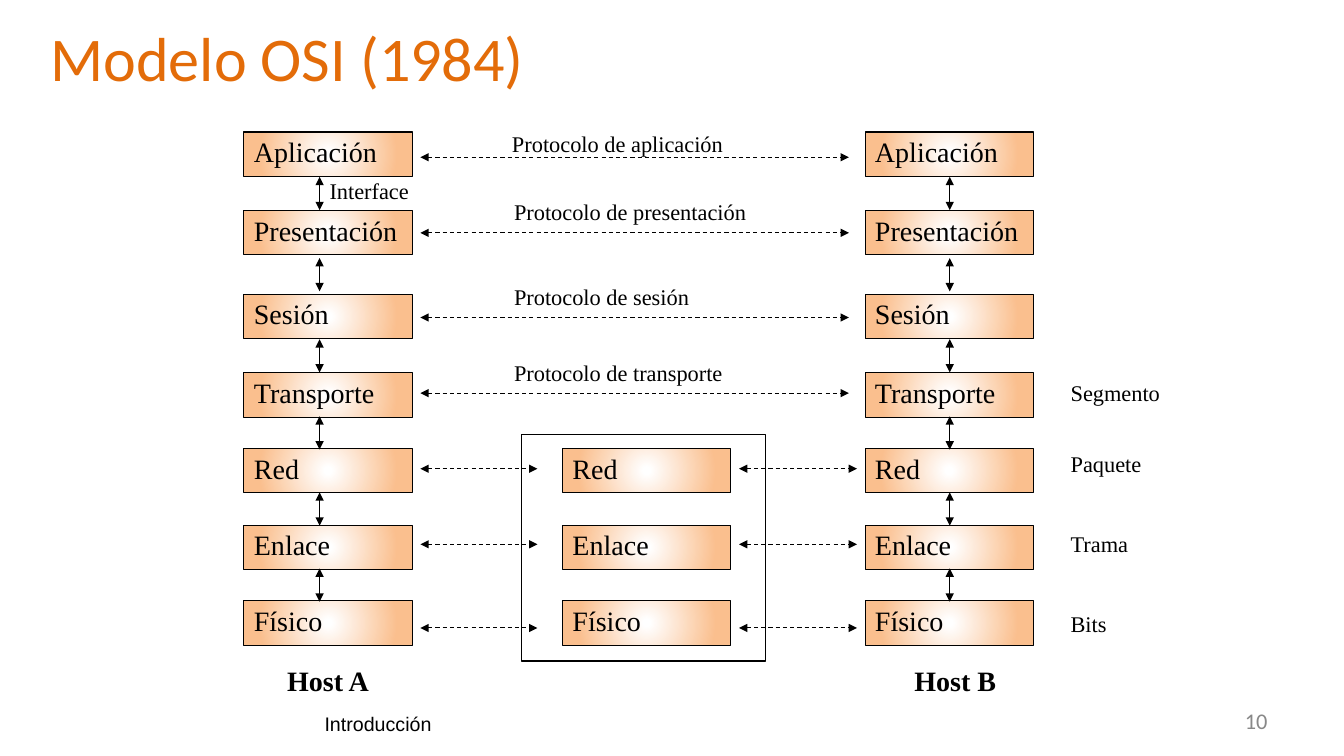
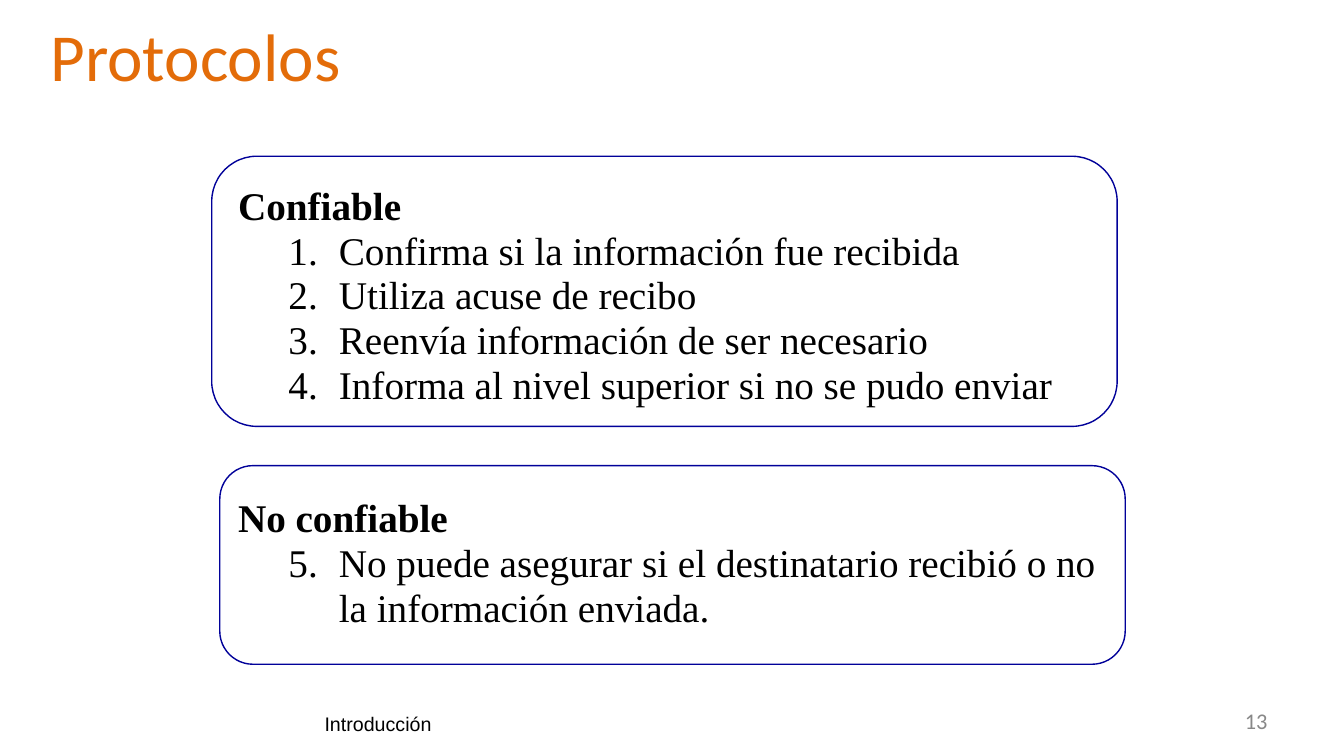
from dataclasses import dataclass

import lxml.etree
import pptx
import pptx.dml.color
import pptx.enum.dml
import pptx.enum.shapes
import pptx.enum.text
import pptx.oxml.ns
import pptx.util

Inches, Pt = pptx.util.Inches, pptx.util.Pt
qn = pptx.oxml.ns.qn
ALIGN = pptx.enum.text.PP_ALIGN
ANCHOR = pptx.enum.text.MSO_ANCHOR
SHAPE = pptx.enum.shapes.MSO_SHAPE


@dataclass(frozen=True)
class Theme:
    title: str = "E36C09"
    ink: str = "000000"
    page: str = "888888"
    glow: str = "FFFFFF"
    layer: str = "FABF8E"
    card: str = "010199"
    title_font: str = "Calibri"
    body_font: str = "Times New Roman"
    footer_font: str = "Arial"
    footer_size: float = 14
    label_size: float = 16
    layer_size: float = 20
    card_size: float = 28
    thin: float = 0.75
    outline: float = 1
    title_spacing: float = 0.9
    body_spacing: float = 0.95


THEME = Theme()

# Content
FOOTER = "Introducción"
OSI = {"title": "Modelo OSI (1984)", "size": 44.4, "box": (0.4, 0.22, 8.47, 0.77), "page": "10"}
PROTOCOLS = {"title": "Protocolos", "size": 48, "box": (0.4, 0.17, 8.52, 0.84), "page": "13"}

# Layer name, box top, height of its dashed arrow
LAYERS = [
    ("Aplicación", 1.31, 1.56),
    ("Presentación", 2.09, 2.31),
    ("Sesión", 2.92, 3.15),
    ("Transporte", 3.7, 3.9),
    ("Red", 4.45, 4.65),
    ("Enlace", 5.21, 5.4),
    ("Físico", 5.96, 6.23),
]
FIRST_ROUTED = 4  # layers from here on pass through the router
LAYER_WIDTH, LAYER_HEIGHT = 1.67, 0.44
ROUTER_LEFT, ROUTER_FRAME = 5.58, (5.17, 4.31, 2.42, 2.25)
# Host name, layers left, arrow column, name left
HOSTS = [("Host A", 2.42, 3.17, 2.75), ("Host B", 8.58, 9.42, 8.97)]
HOST_NAME_TOP = 6.56
INTERFACE_LENGTH = 0.33
DIRECT_SPAN = (4.17, 8.42)
ROUTED_SPANS = [(4.17, 5.33), (7.33, 8.5)]

# Text, left, top, width
LABELS = [
    ("Interface", 3.17, 1.73, 1.2),
    ("Protocolo de aplicación", 4.98, 1.26, 2.6),
    ("Protocolo de presentación", 5, 1.94, 2.6),
    ("Protocolo de sesión", 5, 2.78, 2.6),
    ("Protocolo de transporte", 5, 3.53, 2.6),
    ("Segmento", 10.52, 3.73, 1.3),
    ("Paquete", 10.52, 4.44, 1.3),
    ("Trama", 10.52, 5.23, 1.3),
    ("Bits", 10.52, 6.02, 1.3),
]

# Heading, first number, items, card box, text top
CARDS = [
    ("Confiable", 1, [
        "Confirma si la información fue recibida",
        "Utiliza acuse de recibo",
        "Reenvía información de ser necesario",
        "Informa al nivel superior si no se pudo enviar",
    ], (2.1, 1.55, 8.98, 2.68), 1.83),
    ("No confiable", 5, [
        "No puede asegurar si el destinatario recibió o no la información enviada.",
    ], (2.18, 4.62, 8.98, 1.97), 4.93),
]
CARD_TEXT_LEFT = 2.36
CARD_ROUNDING = 0.167
CORNER_INSET = 0.29  # share of the corner radius kept free of text


# Shared helpers
def color(value):
    return pptx.dml.color.RGBColor.from_string(value)


def style(paragraph, size, font=THEME.body_font, ink=THEME.ink, bold=False, spacing=THEME.body_spacing):
    paragraph.font.size = Pt(size)
    paragraph.font.name = font
    paragraph.font.color.rgb = color(ink)
    paragraph.font.bold = bold
    paragraph.line_spacing = spacing


def add_text(slide, text, box, size, anchor=ANCHOR.TOP, align=ALIGN.LEFT, **options):
    frame = slide.shapes.add_textbox(*map(Inches, box)).text_frame
    frame.word_wrap = True
    frame.vertical_anchor = anchor
    frame.text = text
    frame.paragraphs[0].alignment = align
    style(frame.paragraphs[0], size, **options)


def add_outline(slide, kind, box, ink, width):
    shape = slide.shapes.add_shape(kind, *map(Inches, box))
    shape.shadow.inherit = False
    shape.fill.background()
    shape.line.color.rgb = color(ink)
    shape.line.width = Pt(width)
    return shape


def add_arrow(slide, x1, y1, x2, y2, dashed=False):
    arrow = slide.shapes.add_connector(
        pptx.enum.shapes.MSO_CONNECTOR.STRAIGHT, *map(Inches, (x1, y1, x2, y2)))
    arrow.line.color.rgb = color(THEME.ink)
    arrow.line.width = Pt(THEME.thin)
    if dashed:
        arrow.line.dash_style = pptx.enum.dml.MSO_LINE.DASH
    line = arrow.line._get_or_add_ln()
    for end in ("a:headEnd", "a:tailEnd"):
        lxml.etree.SubElement(line, qn(end), type="triangle")
    lxml.etree.SubElement(arrow._element.spPr, qn("a:effectLst"))


def start_slide(presentation, content):
    slide = presentation.slides.add_slide(presentation.slide_layouts[5])
    title = slide.shapes.title
    title.left, title.top, title.width, title.height = map(Inches, content["box"])
    frame = title.text_frame
    frame.text = content["title"]
    frame.auto_size = pptx.enum.text.MSO_AUTO_SIZE.NONE
    frame.vertical_anchor = ANCHOR.MIDDLE
    frame.paragraphs[0].alignment = ALIGN.LEFT
    style(frame.paragraphs[0], content["size"], THEME.title_font, THEME.title,
          spacing=THEME.title_spacing)
    add_text(slide, FOOTER, (3.12, 6.83, 6.69, 0.52), THEME.footer_size, ANCHOR.BOTTOM,
             font=THEME.footer_font, spacing=1.0)
    add_text(slide, content["page"], (9.56, 6.95, 3.11, 0.4), THEME.label_size, ANCHOR.MIDDLE,
             ALIGN.RIGHT, font=THEME.title_font, ink=THEME.page, spacing=1.0)
    return slide


# OSI model
def fill_with_glow(shape):
    shape.fill.gradient()
    gradient = shape._element.spPr.find(qn("a:gradFill"))
    gradient.clear()
    gradient.set("rotWithShape", "1")
    stops = lxml.etree.SubElement(gradient, qn("a:gsLst"))
    for percent, value in ((0, THEME.glow), (4, THEME.glow), (80, THEME.layer), (100, THEME.layer)):
        stop = lxml.etree.SubElement(stops, qn("a:gs"), pos=str(percent * 1000))
        lxml.etree.SubElement(stop, qn("a:srgbClr"), val=value)
    circle = lxml.etree.SubElement(gradient, qn("a:path"), path="circle")
    lxml.etree.SubElement(circle, qn("a:fillToRect"), l="50000", t="50000", r="50000", b="50000")


def add_layers(slide, left, layers):
    for name, top, _ in layers:
        shape = add_outline(slide, SHAPE.RECTANGLE, (left, top, LAYER_WIDTH, LAYER_HEIGHT),
                            THEME.ink, THEME.thin)
        fill_with_glow(shape)
        frame = shape.text_frame
        frame.vertical_anchor = ANCHOR.TOP
        frame.text = name
        frame.paragraphs[0].alignment = ALIGN.LEFT
        style(frame.paragraphs[0], THEME.layer_size)


def build_osi(presentation):
    slide = start_slide(presentation, OSI)

    # Hosts, with an interface arrow centred in each gap
    for host, left, column, name_left in HOSTS:
        add_layers(slide, left, LAYERS)
        for (_, upper, _), (_, lower, _) in zip(LAYERS, LAYERS[1:]):
            middle = (upper + LAYER_HEIGHT + lower) / 2
            add_arrow(slide, column, middle - INTERFACE_LENGTH / 2,
                      column, middle + INTERFACE_LENGTH / 2)
        add_text(slide, host, (name_left, HOST_NAME_TOP, 1.2, LAYER_HEIGHT),
                 THEME.layer_size, bold=True)

    # Router
    add_layers(slide, ROUTER_LEFT, LAYERS[FIRST_ROUTED:])
    add_outline(slide, SHAPE.RECTANGLE, ROUTER_FRAME, THEME.ink, THEME.outline)

    # Peer protocols
    for index, (_, _, height) in enumerate(LAYERS):
        for start, end in ROUTED_SPANS if index >= FIRST_ROUTED else [DIRECT_SPAN]:
            add_arrow(slide, start, height, end, height, dashed=True)

    for text, left, top, width in LABELS:
        add_text(slide, text, (left, top, width, 0.36), THEME.label_size)


# Protocols
def number_paragraph(paragraph, start):
    properties = paragraph._p.get_or_add_pPr()
    properties.set("marL", str(Inches(1)))
    properties.set("indent", str(Inches(-0.5)))
    numbering = lxml.etree.SubElement(properties, qn("a:buAutoNum"), type="arabicPeriod")
    if start > 1:
        numbering.set("startAt", str(start))


def build_protocols(presentation):
    slide = start_slide(presentation, PROTOCOLS)
    for heading, start, items, box, text_top in CARDS:
        card = add_outline(slide, SHAPE.ROUNDED_RECTANGLE, box, THEME.card, THEME.outline)
        card.adjustments[0] = CARD_ROUNDING
        left, top, _, height = box
        inset = height * CARD_ROUNDING * CORNER_INSET
        frame = card.text_frame
        frame.word_wrap = True
        frame.vertical_anchor = ANCHOR.TOP
        frame.margin_left = Inches(CARD_TEXT_LEFT - left - inset)
        frame.margin_top = Inches(text_top - top - inset)
        frame.margin_right = frame.margin_bottom = 0
        frame.text = "\n".join([heading, *items])
        for index, paragraph in enumerate(frame.paragraphs):
            paragraph.alignment = ALIGN.LEFT
            style(paragraph, THEME.card_size, bold=index == 0)
            if index:
                number_paragraph(paragraph, start)


def main():
    presentation = pptx.Presentation()
    presentation.slide_width, presentation.slide_height = Inches(13.33), Inches(7.5)
    build_osi(presentation)
    build_protocols(presentation)
    presentation.save("out.pptx")


if __name__ == "__main__":
    main()
